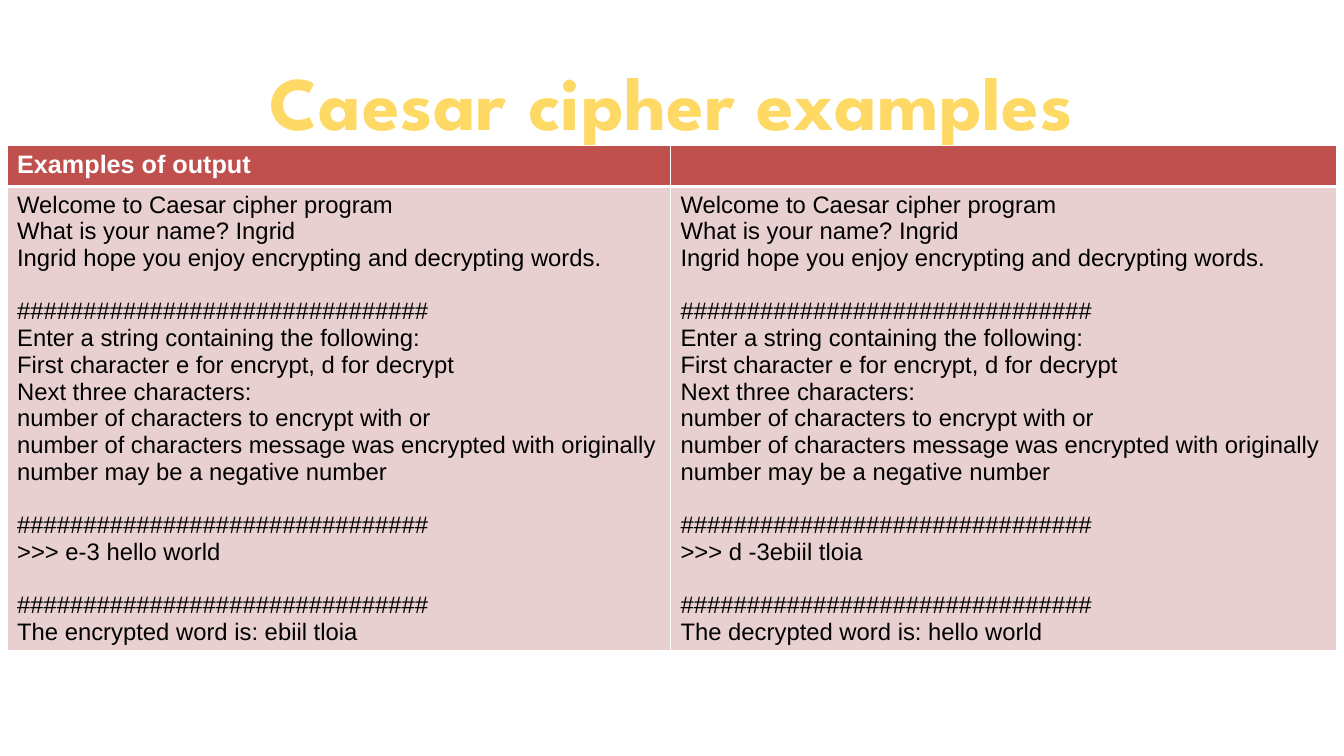
from pptx import Presentation
from pptx.dml.color import RGBColor
from pptx.enum.text import MSO_ANCHOR, MSO_AUTO_SIZE, PP_ALIGN
from pptx.util import Inches, Pt
from lxml import etree

CENTER, LEFT = PP_ALIGN.CENTER, PP_ALIGN.LEFT
MIDDLE, NO_FIT = MSO_ANCHOR.MIDDLE, MSO_AUTO_SIZE.NONE
NS = "http://schemas.openxmlformats.org/drawingml/2006/main"

THEME = {
    "title": "FFD966", "header": "C0504D", "body": "E8D0D0",
    "white": "FFFFFF", "black": "000000",
    "title_font": "League Spartan", "font": "Arial",
    "title_size": 54, "header_size": 18, "body_size": 17, "gap": 19,
}


def write(p, text, font=THEME["font"], size=THEME["body_size"],
          color=THEME["black"], bold=False, align=LEFT, before=0):
    p.alignment = align
    p.space_before = Pt(before)
    r = p.add_run()
    r.text = text
    r.font.name, r.font.size, r.font.bold = font, Pt(size), bold
    r.font.color.rgb = RGBColor.from_string(color)
    return r


def style_cell(cell, fill, bottom=1):
    """Fill a cell and draw its white borders."""
    tcPr = cell._tc.get_or_add_tcPr()
    for side, width in (("L", 1), ("R", 1), ("T", 1), ("B", bottom)):
        ln = etree.SubElement(tcPr, f"{{{NS}}}ln{side}", w=str(Pt(width)))
        solid = etree.SubElement(ln, f"{{{NS}}}solidFill")
        etree.SubElement(solid, f"{{{NS}}}srgbClr", val=THEME["white"])
    cell.fill.solid()
    cell.fill.fore_color.rgb = RGBColor.from_string(fill)


prs = Presentation()
prs.slide_width, prs.slide_height = Inches(13.33), Inches(7.5)
s = prs.slides.add_slide(prs.slide_layouts[5])

# Title
title = s.shapes.title
title.left, title.top = 0, Inches(0.29)
title.width, title.height = prs.slide_width, Inches(1.4)
tf = title.text_frame
tf.word_wrap, tf.auto_size, tf.vertical_anchor = True, NO_FIT, MIDDLE
tf.margin_left = tf.margin_right = tf.margin_top = tf.margin_bottom = Inches(0.1)
r = write(tf.paragraphs[0], "Caesar cipher examples", font=THEME["title_font"],
          size=THEME["title_size"], color=THEME["title"], bold=True, align=CENTER)
r.font._element.set("spc", "50")

# Table grid
col_widths, row_heights = (6.58, 6.61), (0.41, 4.6)
table = s.shapes.add_table(2, 2, Inches(0.07), Inches(1.44),
                           Inches(sum(col_widths)), Inches(sum(row_heights))).table
for col, width in zip(table.columns, col_widths):
    col.width = Inches(width)
for row, height in zip(table.rows, row_heights):
    row.height = Inches(height)

# Header row
for cell in table.rows[0].cells:
    style_cell(cell, THEME["header"], bottom=3)
write(table.cell(0, 0).text_frame.paragraphs[0], "Examples of output",
      size=THEME["header_size"], color=THEME["white"], bold=True)

# Program output: the same prompts, then one run per column
RULE = "#" * 31
PROMPTS = [
    "Welcome to Caesar cipher program",
    "What is your name? Ingrid",
    "Ingrid hope you enjoy encrypting and decrypting words.",
    RULE,
    "Enter a string containing the following:",
    "First character e for encrypt, d for decrypt",
    "Next three characters:",
    "number of characters to encrypt with or",
    "number of characters message was encrypted with originally",
    "number may be a negative number",
    RULE,
]
RUNS = [
    (">>> e-3 hello world", "The encrypted word is: ebiil tloia"),
    (">>> d -3ebiil tloia", "The decrypted word is: hello world"),
]
for cell, (command, answer) in zip(table.rows[1].cells, RUNS):
    style_cell(cell, THEME["body"])
    tf = cell.text_frame
    for i, line in enumerate(PROMPTS + [command, RULE, answer]):
        p = tf.add_paragraph() if i else tf.paragraphs[0]
        write(p, line, before=THEME["gap"] if line == RULE else 0)

prs.save("out.pptx")
